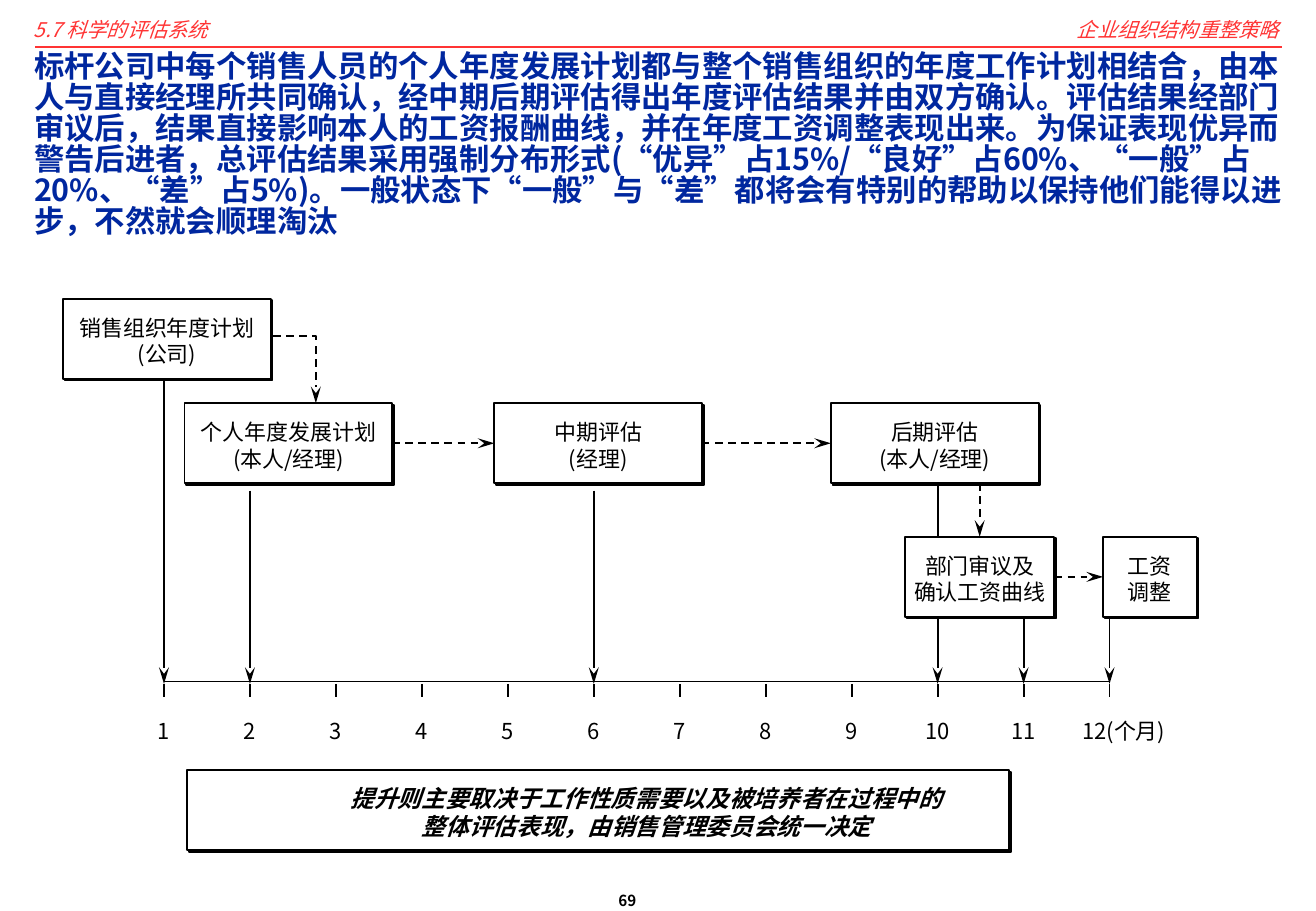
import dataclasses

import lxml.etree
import pptx
import pptx.dml.color
import pptx.enum.dml
import pptx.enum.shapes
import pptx.enum.text
import pptx.oxml.ns
import pptx.util

Pt = pptx.util.Pt
ALIGN = pptx.enum.text.PP_ALIGN
ANCHOR = pptx.enum.text.MSO_ANCHOR


@dataclasses.dataclass(frozen=True)
class Theme:
    font: str = "Noto Sans CJK SC"
    black: str = "000000"
    white: str = "FFFFFF"
    blue: str = "00279F"
    red: str = "FF3434"
    title: int = 18
    note: int = 14
    label: int = 13
    header: int = 12
    page_number: int = 9
    line: float = 1.1


THEME = Theme()

TITLE = (
    "标杆公司中每个销售人员的个人年度发展计划都与整个销售组织的年度工作计划相结合，由本 "
    "人与直接经理所共同确认，经中期后期评估得出年度评估结果并由双方确认。评估结果经部门 "
    "审议后，结果直接影响本人的工资报酬曲线，并在年度工资调整表现出来。为保证表现优异而 "
    "警告后进者，总评估结果采用强制分布形式(“优异”占15%/“良好”占60%、“一般”占 "
    "20%、“差”占5%)。一般状态下“一般”与“差”都将会有特别的帮助以保持他们能得以进 "
    "步，不然就会顺理淘汰"
)
NOTE = "提升则主要取决于工作性质需要以及被培养者在过程中的整体评估表现，由销售管理委员会统一决定"

BOX_HEIGHT = 47.5
STEPS = {
    "plan": (37.4, 177.1, 123.1, ["销售组织年度计划", "(公司)"]),
    "personal": (109.4, 239, 123.1, ["个人年度发展计划", "(本人/经理)"]),
    "midterm": (293, 239, 123.1, ["中期评估", "(经理)"]),
    "final": (492.5, 239, 123.1, ["后期评估", "(本人/经理)"]),
    "review": (536.4, 318.2, 88.6, ["部门审议及", "确认工资曲线"]),
    "salary": (653.8, 318.2, 55.4, ["工资", "调整"]),
}
FLOWS = [("personal", 3, "midterm", 1), ("midterm", 3, "final", 1), ("review", 3, "salary", 1)]
DROPS = {1: 223.2, 2: 290.9, 6: 290.9, 10: 286, 11: 338.4, 12: 338.4}
AXIS_TOP = 404
TICK_TOP = 405.4


def month_x(month):
    return 97.2 + 50.95 * (month - 1)


def rgb(value):
    return pptx.dml.color.RGBColor.from_string(value)


def add_xml(parent, tag, **attributes):
    return lxml.etree.SubElement(parent, pptx.oxml.ns.qn(tag), attributes)


def write(shape, lines, size, color=THEME.black, align=ALIGN.CENTER, anchor=ANCHOR.TOP,
          insets=(0, 0, 0, 0), bold=False, italic=False):
    frame = shape.text_frame
    frame.word_wrap = True
    frame.auto_size = pptx.enum.text.MSO_AUTO_SIZE.NONE
    frame.vertical_anchor = anchor
    frame.margin_left, frame.margin_top, frame.margin_right, frame.margin_bottom = map(Pt, insets)
    frame.text = "\n".join(lines)
    for para in frame.paragraphs:
        para.alignment = align
        font = para.font
        font.name = THEME.font
        font.size = Pt(size)
        font.bold = bold
        font.italic = italic
        font.color.rgb = rgb(color)
        add_xml(para._p.pPr.find(pptx.oxml.ns.qn("a:defRPr")), "a:ea", typeface=THEME.font)


def add_text(page, left, top, width, height, text, size, **style):
    box = page.shapes.add_textbox(Pt(left), Pt(top), Pt(width), Pt(height))
    write(box, [text], size, **style)


def add_box(page, left, top, width, lines, size=THEME.label, insets=(0, 2.4, 0, 0), **style):
    box = page.shapes.add_shape(pptx.enum.shapes.MSO_SHAPE.RECTANGLE,
                                Pt(left), Pt(top), Pt(width), Pt(BOX_HEIGHT))
    box.fill.solid()
    box.fill.fore_color.rgb = rgb(THEME.white)
    style_line(box)
    box.shadow.inherit = False
    effects = box._element.spPr.find(pptx.oxml.ns.qn("a:effectLst"))
    shadow = add_xml(effects, "a:outerShdw", dist=str(Pt(1.4)), dir="2700000",
                     algn="ctr", rotWithShape="0")
    add_xml(shadow, "a:srgbClr", val=THEME.black)
    write(box, lines, size, anchor=ANCHOR.MIDDLE, insets=insets, **style)
    return box


def style_line(shape, color=THEME.black, dashed=False, arrow=False):
    shape.line.color.rgb = rgb(color)
    shape.line.width = Pt(THEME.line)
    if dashed:
        shape.line.dash_style = pptx.enum.dml.MSO_LINE.DASH
    if arrow:
        add_xml(shape.line._get_or_add_ln(), "a:tailEnd", type="stealth", w="med", len="lg")


def add_line(page, start, end, **style):
    line = page.shapes.add_connector(pptx.enum.shapes.MSO_CONNECTOR.STRAIGHT,
                                     *map(Pt, (*start, *end)))
    style_line(line, **style)
    add_xml(line._element.spPr, "a:effectLst")
    return line


def add_bent_arrow(page, start, *points):
    builder = page.shapes.build_freeform(*map(Pt, start))
    builder.add_line_segments([tuple(map(Pt, point)) for point in points], close=False)
    arrow = builder.convert_to_shape()
    arrow.fill.background()
    arrow.shadow.inherit = False
    style_line(arrow, dashed=True, arrow=True)


def add_header(page):
    style = dict(size=THEME.header, color=THEME.red, italic=True, insets=(7.2,) * 4)
    add_line(page, (20.9, 28.1), (759.6, 28.1), color=THEME.red)
    add_text(page, 13, 2.9, 247, 28.8, "5.7 科学的评估系统", align=ALIGN.LEFT, **style)
    add_text(page, 546.5, 2.9, 218.9, 28.8, "企业组织结构重整策略", align=ALIGN.RIGHT, **style)


def add_title(page):
    title = page.shapes.title
    title.left, title.top, title.width, title.height = map(Pt, (13, 23.8, 766.8, 62.6))
    write(title, [TITLE], THEME.title, color=THEME.blue, align=ALIGN.LEFT,
          insets=(7.2, 7.2, 10, 7.2), bold=True)
    title.text_frame.paragraphs[0].line_spacing = 0.85


def add_timeline(page):
    add_line(page, (month_x(1), AXIS_TOP), (month_x(12), AXIS_TOP))
    for month in range(1, 13):
        x = month_x(month)
        add_line(page, (x, TICK_TOP), (x, TICK_TOP + 7.9))
        text, center = (str(month), x) if month < 12 else ("12(个月)", x + 8.5)
        add_text(page, center - 37.5, 422, 75, 22.3, text, THEME.label, insets=(0, 3.6, 0, 3.6))
    for month, top in DROPS.items():
        add_line(page, (month_x(month), top), (month_x(month), TICK_TOP), arrow=True)


def add_steps(page):
    boxes = {name: add_box(page, *step) for name, step in STEPS.items()}
    for source, exit_side, target, entry_side in FLOWS:
        flow = add_line(page, (0, 0), (0, 0), dashed=True, arrow=True)
        flow.begin_connect(boxes[source], exit_side)
        flow.end_connect(boxes[target], entry_side)
    left, top, width, _ = STEPS["review"]
    center = left + width / 2
    approval = add_line(page, (center, 286.5), (center, top), dashed=True, arrow=True)
    approval.end_connect(boxes["review"], 0)
    add_bent_arrow(page, (162, 199.4), (187.2, 199.4), (187.2, 239))


def main():
    deck = pptx.Presentation()
    deck.slide_width, deck.slide_height = Pt(780), Pt(540)
    page = deck.slides.add_slide(deck.slide_layouts[5])
    add_header(page)
    add_title(page)
    add_timeline(page)
    add_steps(page)
    add_box(page, 110.9, 456.5, 487.4, [NOTE], THEME.note,
            insets=(95, 2.4, 37.4, 0), bold=True, italic=True)
    add_text(page, 348.5, 528.5, 46.8, 12, "69", THEME.page_number, bold=True)
    deck.save("out.pptx")


if __name__ == "__main__":
    main()
